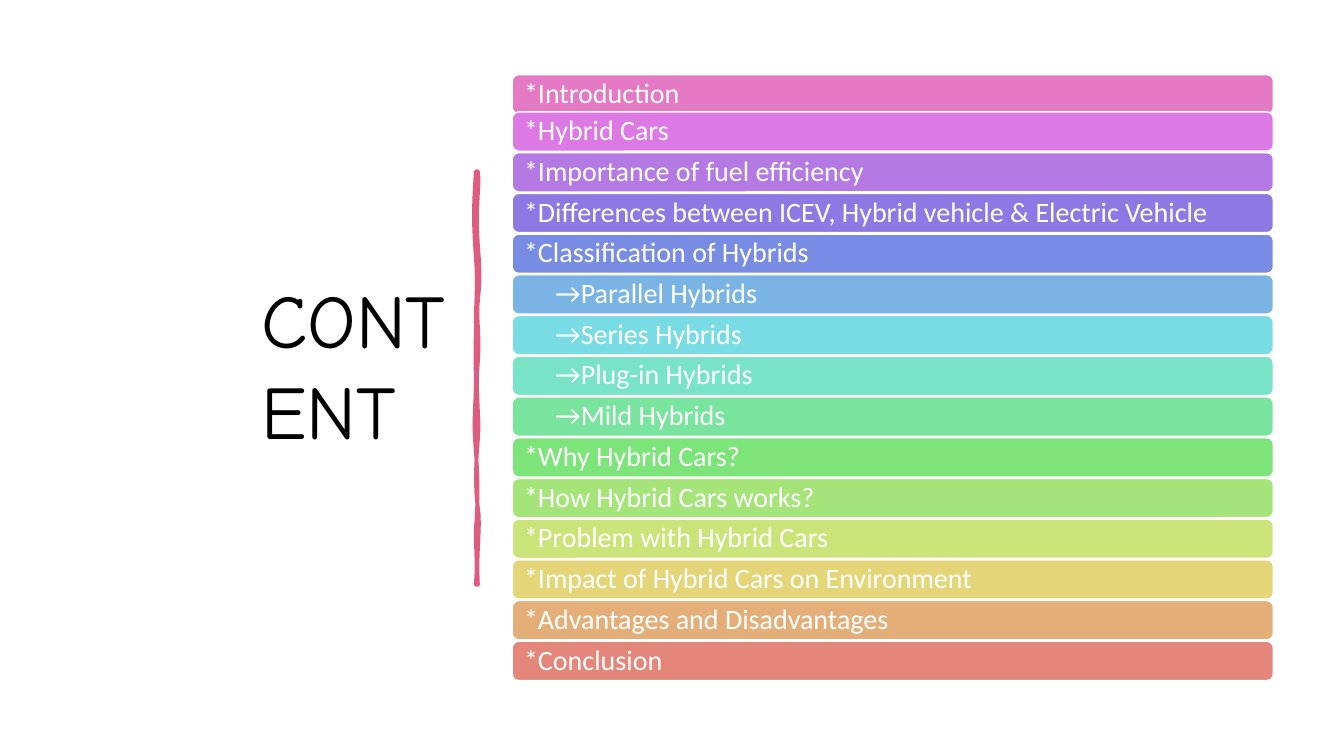
import pptx
import pptx.dml.color
import pptx.enum.shapes
import pptx.enum.text
import pptx.util
from pptx.util import Inches

TOPICS = [
    ("*Introduction", "E479C4"),
    ("*Hybrid Cars", "DC79E4"),
    ("*Importance of fuel efficiency", "B579E4"),
    ("*Differences between ICEV, Hybrid vehicle & Electric Vehicle", "8D79E4"),
    ("*Classification of Hybrids", "798CE4"),
    ("→Parallel Hybrids", "79B4E4"),
    ("→Series Hybrids", "79DBE4"),
    ("→Plug-in Hybrids", "79E4C5"),
    ("→Mild Hybrids", "79E49D"),
    ("*Why Hybrid Cars?", "7CE479"),
    ("*How Hybrid Cars works?", "A4E479"),
    ("*Problem with Hybrid Cars", "CBE479"),
    ("*Impact of Hybrid Cars on Environment", "E4D579"),
    ("*Advantages and Disadvantages", "E4AE79"),
    ("*Conclusion", "E48679"),
]
FIRST_TOP, SECOND_TOP, PITCH = 0.74, 1.11, 0.404

DIVIDER_START = (4.72, 1.7)
DIVIDER_CURVES = [
    ((4.73, 1.7), (4.73, 1.7), (4.74, 1.7)),
    ((4.76, 1.86), (4.71, 2.07), (4.74, 2.43)),
    ((4.77, 2.79), (4.75, 2.85), (4.74, 2.99)),
    ((4.72, 3.13), (4.76, 3.31), (4.74, 3.59)),
    ((4.71, 3.87), (4.76, 4.13), (4.74, 4.36)),
    ((4.72, 4.58), (4.71, 4.85), (4.74, 5.04)),
    ((4.77, 5.23), (4.72, 5.48), (4.74, 5.8)),
    ((4.73, 5.8), (4.73, 5.8), (4.72, 5.8)),
    ((4.74, 5.54), (4.71, 5.36), (4.72, 5.24)),
    ((4.73, 5.13), (4.75, 4.83), (4.72, 4.48)),
    ((4.69, 4.13), (4.72, 4.06), (4.72, 3.75)),
    ((4.71, 3.45), (4.72, 3.41), (4.72, 3.19)),
    ((4.72, 2.98), (4.74, 2.85), (4.72, 2.55)),
    ((4.7, 2.26), (4.69, 2.12), (4.72, 1.7)),
]


def color(value):
    return pptx.dml.color.RGBColor.from_string(value)


def paint(shape, fill, line, width):
    shape.shadow.inherit = False
    shape.fill.solid()
    shape.fill.fore_color.rgb = color(fill)
    shape.line.color.rgb = color(line)
    shape.line.width = pptx.util.Pt(width)


def write(frame, text, font_name, size, text_color):
    frame.text = text
    frame.word_wrap = True
    frame.vertical_anchor = pptx.enum.text.MSO_ANCHOR.MIDDLE
    paragraph = frame.paragraphs[0]
    paragraph.alignment = pptx.enum.text.PP_ALIGN.LEFT
    font = paragraph.runs[0].font
    font.name = font_name
    font.size = pptx.util.Pt(size)
    font.color.rgb = color(text_color)
    return paragraph


def set_heading(slide):
    heading = slide.shapes.title
    heading.left, heading.top = Inches(2.49), Inches(2.73)
    heading.width, heading.height = Inches(2.05), Inches(1.76)
    paragraph = write(heading.text_frame, "CONTENT", "Comic Neue", 54, "000000")
    paragraph.space_after = pptx.util.Pt(6)
    heading.text_frame.auto_size = pptx.enum.text.MSO_AUTO_SIZE.NONE


def curve_points(start, curves, steps=8):
    points = []
    for first, second, end in curves:
        for step in range(1, steps + 1):
            t = step / steps
            weights = ((1 - t) ** 3, 3 * t * (1 - t) ** 2, 3 * t * t * (1 - t), t ** 3)
            corners = (start, first, second, end)
            points.append(tuple(
                Inches(sum(w * corner[axis] for w, corner in zip(weights, corners)))
                for axis in (0, 1)))
        start = end
    return points


def add_divider(slide):
    builder = slide.shapes.build_freeform(*(Inches(v) for v in DIVIDER_START))
    builder.add_line_segments(curve_points(DIVIDER_START, DIVIDER_CURVES))
    paint(builder.convert_to_shape(), "DE5B81", "DE5B81", 2.75)


def add_topic(slide, top, text, fill):
    bar = slide.shapes.add_shape(
        pptx.enum.shapes.MSO_SHAPE.ROUNDED_RECTANGLE,
        Inches(5.08), Inches(top), Inches(7.55), Inches(0.39))
    paint(bar, fill, "FFFFFF", 1)
    frame = bar.text_frame
    frame.margin_left = Inches(0.41 if text.startswith("→") else 0.1)
    frame.margin_right = Inches(0.1)
    paragraph = write(frame, text, "Calibri", 20, "FFFFFF")
    paragraph.line_spacing = 0.9


def main():
    deck = pptx.Presentation()
    deck.slide_width, deck.slide_height = Inches(13.33), Inches(7.5)
    slide = deck.slides.add_slide(deck.slide_layouts.get_by_name("Title Only"))
    slide.background.fill.solid()
    slide.background.fill.fore_color.rgb = color("FFFFFF")
    set_heading(slide)
    add_divider(slide)
    for index, (text, fill) in enumerate(TOPICS):
        top = SECOND_TOP + PITCH * (index - 1) if index else FIRST_TOP
        add_topic(slide, top, text, fill)
    deck.save("out.pptx")


if __name__ == "__main__":
    main()
